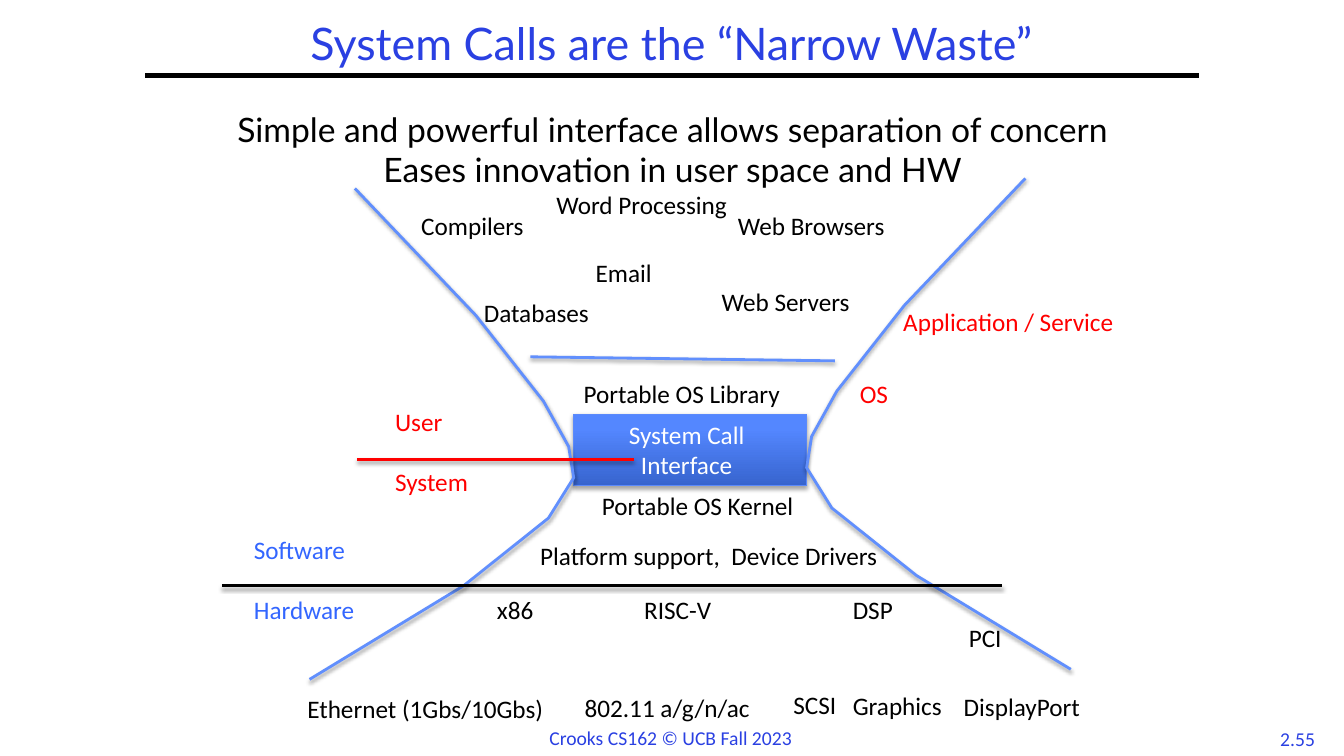
from lxml import etree
from pptx import Presentation
from pptx.dml.color import RGBColor
from pptx.enum.shapes import MSO_CONNECTOR, MSO_SHAPE
from pptx.enum.text import MSO_ANCHOR, PP_ALIGN
from pptx.oxml.ns import qn
from pptx.util import Inches, Pt

STRAIGHT = MSO_CONNECTOR.STRAIGHT
RECTANGLE = MSO_SHAPE.RECTANGLE
MIDDLE, TOP = MSO_ANCHOR.MIDDLE, MSO_ANCHOR.TOP
LEFT, CENTER = PP_ALIGN.LEFT, PP_ALIGN.CENTER

COLUMNS, ROWS = 13.33, 7.5
LABEL_HEIGHT = 0.4
COLORS = {
    "black": "000000",
    "white": "FFFFFF",
    "title": "2A40E2",
    "outline": "618FFD",
    "box_line": "5B8AFB",
    "box_bottom": "3764CE",
    "box_top": "5487FF",
    "hardware": "3366FF",
    "boundary": "FF0000",
}

# Each label: text, left column, top row, width in columns
STACK_LABELS = [
    ("Compilers", 4.08, 2.04, 1.34),
    ("Word Processing", 5.42, 1.83, 2.12),
    ("Web Browsers", 7.22, 2.04, 1.84),
    ("Email", 5.81, 2.5, 0.83),
    ("Databases", 4.7, 2.9, 1.41),
    ("Web Servers", 7.06, 2.79, 1.66),
    ("Portable OS Library", 5.69, 3.7, 2.42),
    ("Portable OS Kernel", 5.87, 4.82, 2.38),
    ("Platform support,  Device Drivers", 5.26, 5.31, 3.9),
    ("x86", 4.83, 5.85, 0.8),
    ("RISC-V", 6.29, 5.85, 1.27),
    ("DSP", 8.36, 5.85, 0.76),
    ("PCI", 9.51, 6.12, 0.62),
    ("Ethernet (1Gbs/10Gbs)", 2.95, 6.83, 2.81),
    ("802.11 a/g/n/ac", 5.7, 6.82, 1.92),
    ("SCSI", 7.77, 6.79, 0.79),
    ("Graphics", 8.36, 6.8, 1.21),
    ("DisplayPort", 9.46, 6.81, 1.55),
]
HARDWARE_LABELS = [
    ("Software", 2.42, 5.25, 1.2),
    ("Hardware", 2.42, 5.85, 1.3),
]
BOUNDARY_LABELS = [
    ("User", 3.82, 3.98, 0.8),
    ("System", 3.82, 4.58, 1.04),
    ("OS", 8.43, 3.7, 0.57),
    ("Application / Service", 8.86, 2.99, 2.49),
]
LEFT_WAIST = [
    (3.52, 1.87), (4.72, 3.13), (5.39, 3.98), (5.64, 4.43),
    (5.69, 4.74), (5.44, 5.14), (4.6, 5.81), (3.07, 6.74),
]
MIRROR_SUM, MIRROR_RISE = 13.69, 0.1


def color(name):
    return RGBColor.from_string(COLORS[name])


def set_shadow(shape, opacity=0, distance=1.6):
    """Replace the theme shadow by a soft drop below, or by none at zero opacity."""
    properties = shape._element.spPr
    effects = etree.SubElement(properties, qn("a:effectLst"))
    if opacity:
        shadow = etree.SubElement(
            effects, qn("a:outerShdw"), blurRad=str(Pt(3.1)),
            dist=str(Pt(distance)), dir="5400000", rotWithShape="0")
        shade = etree.SubElement(shadow, qn("a:srgbClr"), val=COLORS["black"])
        etree.SubElement(shade, qn("a:alpha"), val=str(opacity * 1000))


def add_text(slide, lines, left, top, width, height, size=18, ink="black",
             font="Calibri", align=LEFT, anchor=TOP, spacing=1.0):
    box = slide.shapes.add_textbox(*map(Inches, (left, top, width, height)))
    frame = box.text_frame
    frame.word_wrap = True
    frame.vertical_anchor = anchor
    for index, line in enumerate(lines):
        paragraph = frame.add_paragraph() if index else frame.paragraphs[0]
        paragraph.alignment = align
        paragraph.line_spacing = spacing
        run = paragraph.add_run()
        run.text = line
        run.font.name = font
        run.font.size = Pt(size)
        run.font.color.rgb = color(ink)


def add_labels(slide, labels, ink):
    for text, left, top, width in labels:
        add_text(slide, [text], left, top, width, LABEL_HEIGHT, ink=ink)


def add_line(slide, start, end, ink, weight=2, opacity=38):
    line = slide.shapes.add_connector(STRAIGHT, *map(Inches, start + end))
    line.line.color.rgb = color(ink)
    line.line.width = Pt(weight)
    set_shadow(line, opacity)


def add_waist(slide, points):
    corners = [(Inches(column), Inches(row)) for column, row in points]
    builder = slide.shapes.build_freeform(*corners[0])
    builder.add_line_segments(corners[1:], close=False)
    waist = builder.convert_to_shape()
    waist.fill.background()
    waist.line.color.rgb = color("outline")
    waist.line.width = Pt(2)
    set_shadow(waist, 38)


def add_interface_box(slide):
    box = slide.shapes.add_shape(
        RECTANGLE, *map(Inches, (5.69, 4.11, 2.31, 0.71)))
    box.fill.gradient()
    box.fill.gradient_angle = 90
    stops = zip(box.fill.gradient_stops, (0, 0.8), ("box_bottom", "box_top"))
    for stop, position, name in stops:
        stop.position = position
        stop.color.rgb = color(name)
    box.line.color.rgb = color("box_line")
    box.line.width = Pt(0.75)
    set_shadow(box, 35, 1.8)
    add_text(slide, ["System Call", "Interface"], 6, 4.11, 1.62, 0.71,
             ink="white", align=CENTER)


def add_frame(slide):
    """Title with its rule, footer and page number."""
    add_line(slide, (1.44, 0.75), (11.89, 0.75), "black", 3, 0)
    add_text(slide, ["System Calls are the “Narrow Waste”"], 1.44, 0.17,
             10.44, 0.58, 32, "title", "Lato", CENTER, MIDDLE, 0.9)
    add_text(slide, ["Crooks CS162 © UCB Fall 2023"], 5.35, 7.15, 2.8, 0.34,
             14, "title")
    add_text(slide, ["2.55"], 12.48, 7.16, 0.78, 0.33, 14, "title",
             align=CENTER)


def main():
    presentation = Presentation()
    presentation.slide_width = Inches(COLUMNS)
    presentation.slide_height = Inches(ROWS)
    slide = presentation.slides.add_slide(presentation.slide_layouts[6])

    add_frame(slide)
    add_interface_box(slide)
    add_labels(slide, STACK_LABELS, "black")
    add_waist(slide, LEFT_WAIST)
    add_waist(slide, [(MIRROR_SUM - column, row - MIRROR_RISE)
                      for column, row in LEFT_WAIST])
    add_line(slide, (5.26, 3.54), (8.28, 3.58), "outline")
    add_line(slide, (2.2, 5.81), (9.94, 5.81), "black")
    add_line(slide, (3.54, 4.56), (6.29, 4.56), "boundary")
    add_labels(slide, HARDWARE_LABELS, "hardware")
    add_labels(slide, BOUNDARY_LABELS, "boundary")
    add_text(slide, ["Simple and powerful interface allows separation of concern",
                     "Eases innovation in user space and HW"],
             0.31, 1.03, 12.72, 0.91, 24, font="Lato", align=CENTER)
    presentation.save("out.pptx")


if __name__ == "__main__":
    main()
